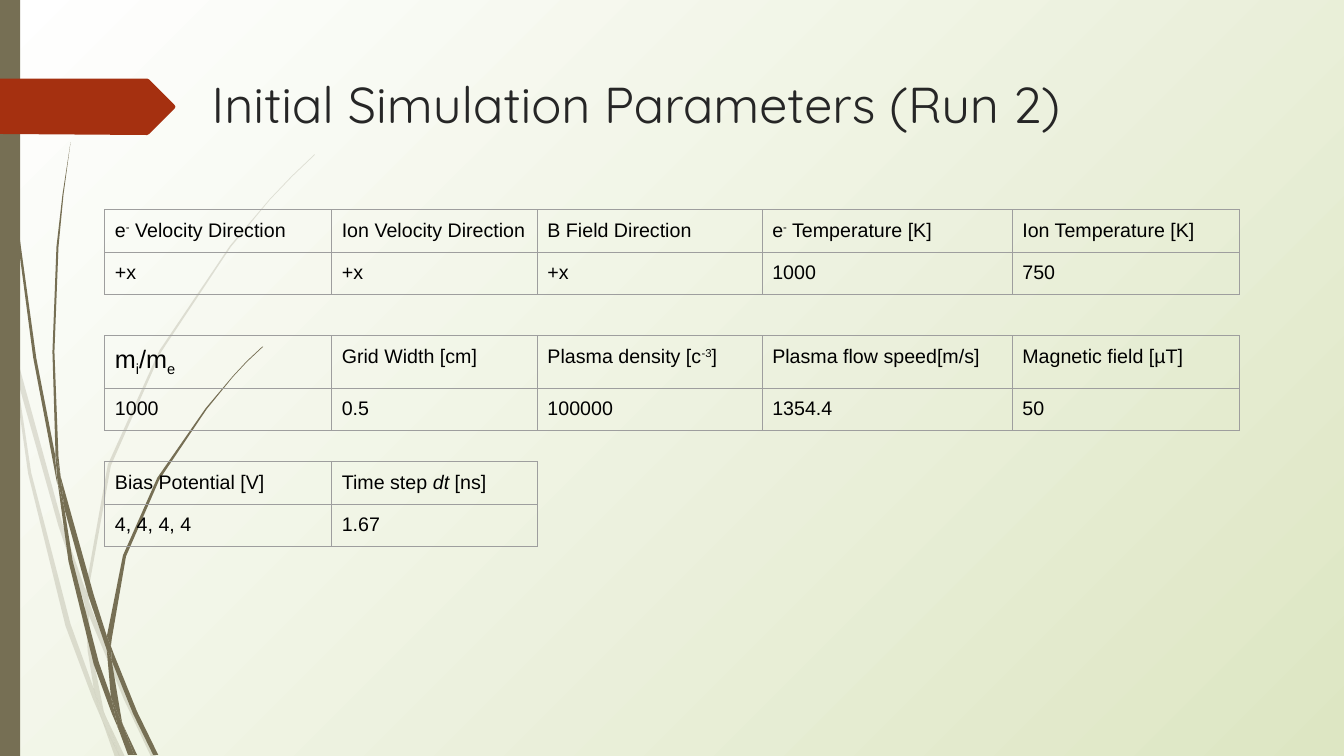
import pptx
import pptx.dml.color
import pptx.enum.shapes
import pptx.enum.text
import pptx.oxml
import pptx.oxml.ns
import pptx.util

RGBColor = pptx.dml.color.RGBColor
Inches = pptx.util.Inches
Pt = pptx.util.Pt

WHITE = RGBColor(0xFF, 0xFF, 0xFF)
PALE_GREEN = RGBColor(0xDD, 0xE6, 0xC3)
OLIVE = RGBColor(0x76, 0x6F, 0x54)
RUST = RGBColor(0xA5, 0x30, 0x10)
CHARCOAL = RGBColor(0x26, 0x26, 0x26)
BLACK = RGBColor(0x00, 0x00, 0x00)
GRID_GRAY = RGBColor(0x9E, 0x9E, 0x9E)

FAINT_GRASS = [
    [(0.11, 3.5), (0.09, 3.22), (0, 2.82), (0, 2.99), (0.1, 3.44)],
    [(0.58, 5.22), (0.84, 5.99), (0.85, 5.86), (0.62, 5.2), (0.14, 3.45), (0.17, 3.76)],
    [(0.92, 6.07), (0.88, 5.96), (0.88, 6.1), (1.23, 6.94), (1.5, 7.51), (1.55, 7.51),
     (1.27, 6.92)],
    [(1.19, 7.51), (1.24, 7.51), (1.05, 7.11)],
    [(0.93, 6.83), (0.7, 6.19), (0.31, 4.69), (0.17, 3.76), (0.11, 3.5), (0.28, 4.7),
     (0.65, 6.21), (0.92, 6.93), (1.01, 7.14), (0.99, 7.07)],
    [(0.84, 5.99), (0.87, 6.46), (0.93, 6.83), (0.96, 6.92), (1.05, 7.11), (1.03, 7.06),
     (0.91, 6.46), (0.88, 6.1), (0.88, 6.08)],
    [(0.88, 5.84), (1.1, 4.62), (1.6, 3.49), (2.29, 2.45), (2.68, 1.98), (2.9, 1.75),
     (3.12, 1.54), (3.12, 1.53), (2.89, 1.75), (2.68, 1.97), (2.28, 2.44), (1.58, 3.48),
     (1.07, 4.61), (0.85, 5.84), (0.85, 5.86), (0.88, 5.96)],
    [(1.01, 7.14), (1.14, 7.51), (1.19, 7.51)],
    [(0.88, 6.08), (0.88, 6.1), (0.88, 5.96), (0.85, 5.86), (0.84, 5.99)],
    [(0.96, 6.92), (0.93, 6.83), (0.99, 7.07), (1.01, 7.14), (1.19, 7.51), (1.05, 7.11)],
]

DARK_GRASS = [
    [(0.07, 1.1), (0.17, 2.33), (0.33, 3.55), (0.56, 4.76), (0.57, 4.81), (0.55, 4.57),
     (0.55, 4.53), (0.36, 3.55), (0.19, 2.32), (0.08, 1.09), (0.05, 0.48), (0.03, 0),
     (0.03, 0.48)],
    [(0.88, 5.92), (1.06, 6.45), (1.06, 6.33), (1.06, 6.31), (0.93, 5.9), (0.6, 4.72),
     (0.64, 5.05)],
    [(1.13, 6.49), (1.1, 6.41), (1.11, 6.56), (1.32, 7.08), (1.52, 7.49), (1.57, 7.49),
     (1.36, 7.06)],
    [(1.1, 6.91), (0.98, 6.57), (0.72, 5.56), (0.64, 5.05), (0.57, 4.77), (0.68, 5.57),
     (0.93, 6.59), (1.11, 7.08), (1.17, 7.22), (1.16, 7.17)],
    [(0.6, 4.72), (0.58, 4.53), (0.54, 3.49), (0.58, 2.45), (0.63, 1.93), (0.7, 1.41),
     (0.62, 1.93), (0.56, 2.45), (0.52, 3.49), (0.55, 4.49)],
    [(1.33, 7.49), (1.36, 7.49), (1.22, 7.19)],
    [(0.57, 4.77), (0.64, 5.05), (0.6, 4.72), (0.55, 4.49), (0.55, 4.53)],
    [(1.11, 6.33), (1.25, 5.52), (1.58, 4.76), (2.05, 4.06), (2.31, 3.74), (2.45, 3.59),
     (2.61, 3.44), (2.6, 3.44), (2.45, 3.58), (2.31, 3.73), (2.04, 4.05), (1.56, 4.74),
     (1.22, 5.51), (1.06, 6.31), (1.1, 6.41)],
    [(1.17, 7.22), (1.27, 7.49), (1.31, 7.49)],
    [(1.06, 6.45), (1.1, 6.91), (1.16, 7.06), (1.22, 7.19), (1.21, 7.16), (1.11, 6.56),
     (1.09, 6.51)],
    [(1.06, 6.45), (1.09, 6.51), (1.11, 6.56), (1.1, 6.41), (1.06, 6.31), (1.06, 6.33)],
    [(1.16, 7.06), (1.1, 6.91), (1.16, 7.17), (1.17, 7.22), (1.3, 7.49), (1.33, 7.49),
     (1.22, 7.19)],
]

TITLE_ARROW = [(0, 0.78), (1.46, 0.78), (1.48, 0.79), (1.73, 1.04), (1.74, 1.06),
               (1.73, 1.08), (1.48, 1.33), (1.46, 1.34), (0, 1.33)]

COLUMN_WIDTHS = [2.25, 2.04, 2.23, 2.48, 2.25]
PARAMETER_TABLES = [
    [["e|^-| Velocity Direction", "Ion Velocity Direction", "B Field Direction",
      "e|^-| Temperature [K]", "Ion Temperature [K]"],
     ["+x", "+x", "+x", "1000", "750"]],
    [["m|_i|/m|_e", "Grid Width [cm]", "Plasma density [c|^-3|]",
      "Plasma flow speed[m/s]", "Magnetic field [µT]"],
     ["1000", "0.5", "100000", "1354.4", "50"]],
    [["Bias Potential [V]", "Time step |*dt |[ns]"],
     ["4, 4, 4, 4", "1.67"]],
]
BASELINES = {"^": "30000", "_": "-25000"}


class SlideBuilder:
    """Draws styled elements on one slide."""

    def __init__(self, presentation):
        self.slide = presentation.slides.add_slide(presentation.slide_layouts[5])
        self.title_font = "Quicksand"
        self.table_font = "Arial"

    def background(self, inner, outer):
        fill = self.slide.background.fill
        fill.gradient()
        for stop, color in zip(fill.gradient_stops, (inner, outer)):
            stop.color.rgb = color
        linear = self.slide._element.xpath(".//p:bg//a:lin")[0]
        linear.getparent().replace(linear, pptx.oxml.parse_xml(
            f'<a:path {pptx.oxml.ns.nsdecls("a")} path="circle">'
            '<a:fillToRect r="100000" b="100000"/></a:path>'))

    def paint(self, shape, color, opacity=100):
        shape.shadow.inherit = False
        shape.fill.solid()
        shape.fill.fore_color.rgb = color
        shape.line.fill.background()
        if opacity < 100:
            color_element = shape._element.spPr.xpath("./a:solidFill/a:srgbClr")[0]
            color_element.append(pptx.oxml.parse_xml(
                f'<a:alpha {pptx.oxml.ns.nsdecls("a")} val="{opacity * 1000}"/>'))

    def outline(self, points, color, opacity=100):
        vertices = [(Inches(x), Inches(y)) for x, y in points]
        builder = self.slide.shapes.build_freeform(*vertices[0])
        builder.add_line_segments(vertices[1:], close=True)
        self.paint(builder.convert_to_shape(), color, opacity)

    def rectangle(self, left, top, width, height, color):
        shape = self.slide.shapes.add_shape(
            pptx.enum.shapes.MSO_SHAPE.RECTANGLE,
            Inches(left), Inches(top), Inches(width), Inches(height))
        self.paint(shape, color)

    def title(self, text, left, top, width, height):
        shape = self.slide.shapes.title
        shape.left, shape.top = Inches(left), Inches(top)
        shape.width, shape.height = Inches(width), Inches(height)
        text_frame = shape.text_frame
        text_frame.text = text
        text_frame.word_wrap = True
        text_frame.vertical_anchor = pptx.enum.text.MSO_ANCHOR.TOP
        paragraph = text_frame.paragraphs[0]
        paragraph.alignment = pptx.enum.text.PP_ALIGN.LEFT
        self.format_run(paragraph.runs[0], self.title_font, 36, CHARCOAL)

    def format_run(self, run, font_name, size, color):
        run.font.name = font_name
        run.font.size = Pt(size)
        run.font.color.rgb = color

    def table(self, rows, left, top, row_height=0.42):
        widths = COLUMN_WIDTHS[:len(rows[0])]
        table = self.slide.shapes.add_table(
            len(rows), len(widths), Inches(left), Inches(top),
            Inches(sum(widths)), Inches(row_height * len(rows))).table
        table.first_row = table.horz_banding = False
        for column, width in zip(table.columns, widths):
            column.width = Inches(width)
        for row, texts in zip(table.rows, rows):
            row.height = Inches(row_height)
            for cell, text in zip(row.cells, texts):
                self.cell(cell, text)

    def cell(self, cell, text):
        cell.margin_left = cell.margin_right = Inches(0.1)
        cell.margin_top = cell.margin_bottom = Inches(0.1)
        cell.fill.background()
        size = 18 if "|_" in text else 14
        for part in text.split("|"):
            mark = part[0] if part[0] in "^_*" else ""
            run = cell.text_frame.paragraphs[0].add_run()
            run.text = part[len(mark):]
            self.format_run(run, self.table_font, size, BLACK)
            if mark == "*":
                run.font.italic = True
            elif mark:
                run.font._element.set("baseline", BASELINES[mark])
        properties = cell._tc.get_or_add_tcPr()
        for index, side in enumerate("LRTB"):
            properties.insert(index, pptx.oxml.parse_xml(
                f'<a:ln{side} {pptx.oxml.ns.nsdecls("a")} w="{Pt(0.75)}"><a:solidFill>'
                f'<a:srgbClr val="{GRID_GRAY}"/></a:solidFill></a:ln{side}>'))


def main():
    presentation = pptx.Presentation()
    presentation.slide_width = Inches(13.33)
    presentation.slide_height = Inches(7.5)
    builder = SlideBuilder(presentation)
    builder.background(WHITE, PALE_GREEN)
    for blade in FAINT_GRASS:
        builder.outline(blade, OLIVE, opacity=20)
    for blade in DARK_GRASS:
        builder.outline(blade, OLIVE)
    builder.rectangle(0, 0, 0.2, 7.5, OLIVE)
    builder.outline(TITLE_ARROW, RUST)
    builder.title("Initial Simulation Parameters (Run 2)", 2, 0.68, 9.75, 1.4)
    for index, rows in enumerate(PARAMETER_TABLES):
        builder.table(rows, 1.04, 2.08 + 1.25 * index)
    presentation.save("out.pptx")


if __name__ == "__main__":
    main()
